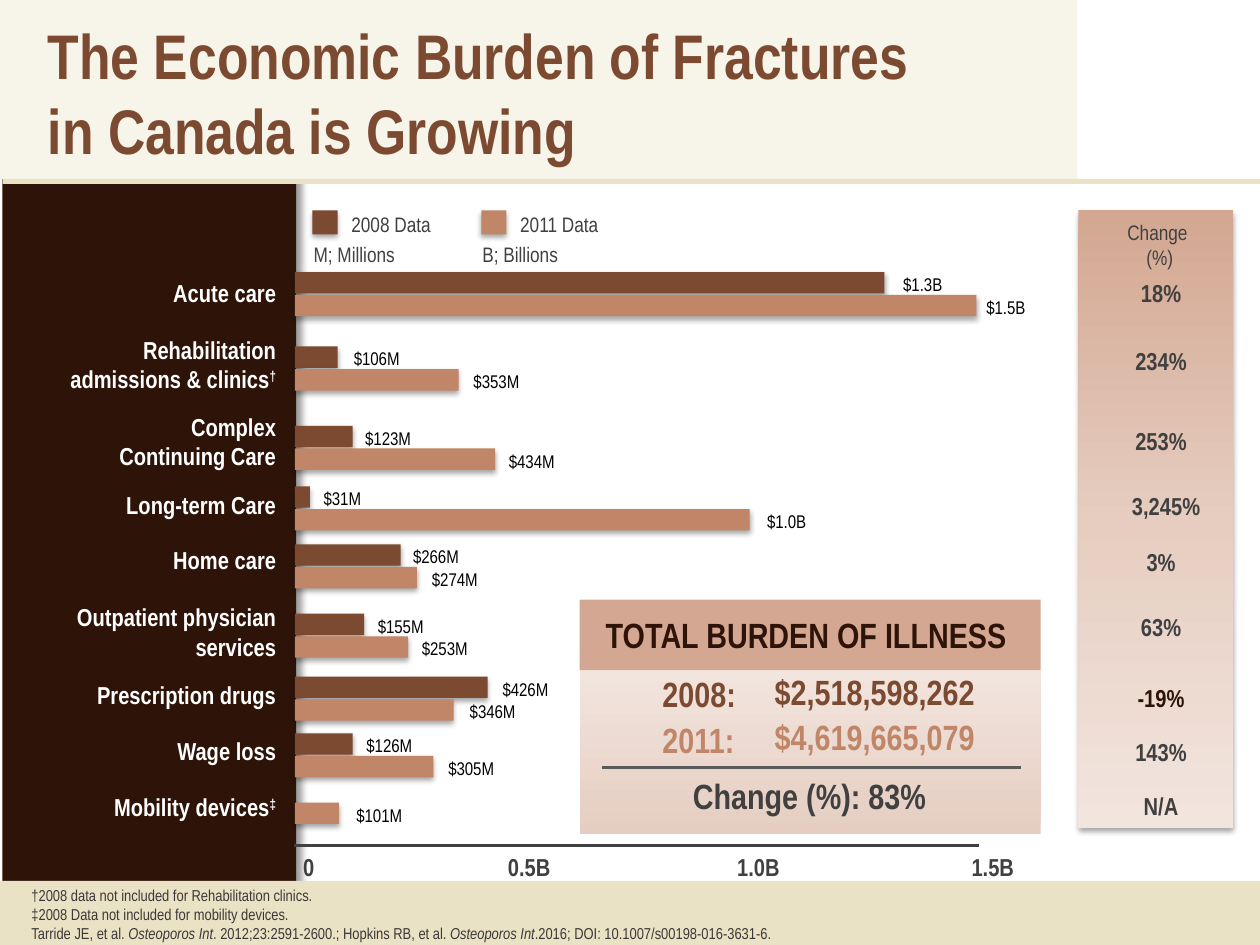
from lxml import etree
from pptx import Presentation
from pptx.dml.color import RGBColor
from pptx.enum.shapes import MSO_CONNECTOR, MSO_SHAPE
from pptx.enum.text import MSO_ANCHOR, MSO_AUTO_SIZE, PP_ALIGN
from pptx.oxml.ns import qn
from pptx.util import Pt

PX = 9144  # 100 px to the inch
FONT = "Arial Narrow"
LEFT, MID, RIGHT = PP_ALIGN.LEFT, PP_ALIGN.CENTER, PP_ALIGN.RIGHT
TOP, CENTER, BOTTOM = MSO_ANCHOR.TOP, MSO_ANCHOR.MIDDLE, MSO_ANCHOR.BOTTOM
GROW, FIXED = MSO_AUTO_SIZE.SHAPE_TO_FIT_TEXT, MSO_AUTO_SIZE.NONE
RECT, LINE = MSO_SHAPE.RECTANGLE, MSO_CONNECTOR.STRAIGHT

HEX = {
    "dark": "2E1408", "brown": "7B4A31", "tan": "C18567", "rose": "D3A791",
    "blush": "E6CDC0", "shell": "E5CDC1", "pale": "F2E5DE", "sand": "EAE2C4",
    "cream": "F7F4E9", "gray": "404040", "rule": "595959", "note": "3B3838",
    "white": "FFFFFF", "black": "000000",
}

# Blur, distance (points), angle, opacity (percent)
SIDE_SHADE = (4, 3, 0, 40)
BAR_SHADE = (3.1, 1.8, 90, 35)

# Label, its width and top; top of the first bar; 2008 and 2011 bars as
# (value, width, gap before the value); change and its top
ROWS = [
    (["Acute care"], 140, 216, 216, ("$1.3B", 468, 5), ("$1.5B", 541, -2), "18%", 216),
    (["Rehabilitation admissions & clinics", ("†", "sup")], 192, 261, 275,
     ("$106M", 34, 3), ("$353M", 130, 2), "234%", 270),
    (["Complex Continuing Care"], 156, 322, 338,
     ("$123M", 46, 0), ("$434M", 159, 1), "253%", 333),
    (["Long-term Care"], 192, 384, 386, ("$31M", 12, 1), ("$1.0B", 361, 4), "3,245%", 385),
    (["Home care"], 192, 428, 432, ("$266M", 84, 0), ("$274M", 97, 2), "3%", 429),
    (["Outpatient physician services"], 192, 473, 487,
     ("$155M", 55, 1), ("$253M", 90, 1), "63%", 481),
    (["Prescription drugs"], 192, 535, 537, ("$426M", 153, 2), ("$346M", 126, 3), "-19%", 537),
    (["Wage loss"], 192, 579, 582, ("$126M", 46, 1), ("$305M", 110, 2), "143%", 580),
    (["Mobility devices", ("‡", "sup")], 192, 624, 619, None, ("$101M", 35, 4), "N/A", 623),
]


def rgb(name):
    return RGBColor.from_string(HEX[name])


def emu(*nums):
    return [round(n * PX) for n in nums]


def write(frame, paras, size=14, color="gray", bold=False, align=LEFT,
          anchor=TOP, inset=(10, 5), fit=GROW):
    """Fill a frame; a paragraph is a list of runs, each a string or (string, style)."""
    frame.word_wrap = True
    frame.auto_size = fit
    frame.vertical_anchor = anchor
    frame.margin_left = frame.margin_right = inset[0] * PX
    frame.margin_top = frame.margin_bottom = inset[1] * PX
    for i, runs in enumerate(paras):
        para = frame.add_paragraph() if i else frame.paragraphs[0]
        para.alignment = align
        for item in runs:
            words, style = (item, "") if isinstance(item, str) else item
            for j, part in enumerate(words.split("\n")):
                if j:
                    para.add_line_break()
                run = para.add_run()
                run.text = part
                font = run.font
                font.name, font.size, font.bold = FONT, Pt(size), bold
                font.color.rgb = rgb(color)
                if style == "i":
                    font.italic = True
                if style == "sup":
                    font._element.set("baseline", "30000")


def text(shapes, box, words, **form):
    paras = [[words]] if isinstance(words, str) else words
    write(shapes.add_textbox(*emu(*box)).text_frame, paras, **form)


def sub(node, tag, **attrs):
    return etree.SubElement(node, qn(tag), {k: str(v) for k, v in attrs.items()})


def block(shapes, box, color, shade=None):
    rect = shapes.add_shape(RECT, *emu(*box))
    rect.shadow.inherit = False
    rect.line.fill.background()
    rect.fill.solid()
    rect.fill.fore_color.rgb = rgb(color)
    if shade:
        blur, dist, turn, alpha = shade
        drop = sub(rect._element.spPr.find(qn("a:effectLst")), "a:outerShdw",
                   blurRad=Pt(blur), dist=Pt(dist), dir=turn * 60000,
                   algn="ctr", rotWithShape=0)
        sub(sub(drop, "a:srgbClr", val=HEX["black"]), "a:alpha", val=alpha * 1000)
    return rect


def blend(rect, names, turn):
    """Replace the solid fill by evenly spaced gradient stops."""
    solid = rect._element.spPr.find(qn("a:solidFill"))
    grad = etree.Element(qn("a:gradFill"), rotWithShape="1")
    stops = sub(grad, "a:gsLst")
    for i, name in enumerate(names):
        stop = sub(stops, "a:gs", pos=100000 * i // (len(names) - 1))
        sub(stop, "a:srgbClr", val=HEX[name])
    sub(grad, "a:lin", ang=turn * 60000, scaled=0)
    solid.getparent().replace(solid, grad)


def rule(shapes, x, y, width, color):
    line = shapes.add_connector(LINE, *emu(x, y, x + width, y))
    line.line.color.rgb = rgb(color)
    line.line.width = Pt(1.5)
    sub(line._element.spPr, "a:effectLst")


def header(slide, x, y, w, h):
    block(slide.shapes, (x, y, w, h), "cream")
    title = slide.shapes.title
    title.left, title.top, title.width, title.height = emu(x + 28, y + 8, 808, 131)
    write(title.text_frame, [["The Economic Burden of Fractures\nin Canada is Growing"]],
          size=36, color="brown", bold=True)
    title.element.getparent().append(title.element)
    block(slide.shapes, (x + 2, y + h, 998, 4), "sand")


def labels(shapes, right):
    for runs, width, top, *_ in ROWS:
        tall = 57 if width == 156 or len(runs[0]) > 20 else 34
        text(shapes, (right - width, top, width, tall), [runs],
             color="white", bold=True, align=RIGHT)


def bars(shapes, x):
    for _, _, _, top, old, new, *_ in ROWS:
        for y, data, color in ((top, old, "brown"), (top + 18, new, "tan")):
            if data:
                value, width, gap = data
                pair = shapes.add_group_shape().shapes
                block(pair, (x, y, width, 17), color, BAR_SHADE)
                text(pair, (x + width + gap, y - 4, 70, 28), value,
                     size=10.5, color="black")


def axis(shapes, x, y, w):
    rule(shapes, x, y, w, "gray")
    for mark, mid in (("0", 12), ("0.5B", 187), ("1.0B", 369), ("1.5B", 555)):
        text(shapes, (x + mid - 32, y, 64, 34), mark, bold=True, align=MID)


def legend(shapes, x, y):
    group = shapes.add_group_shape().shapes
    keys = (("2008 Data", "M; Millions", "brown"), ("2011 Data", "B; Billions", "tan"))
    for i, (name, unit, color) in enumerate(keys):
        left = x + 134 * i
        block(group, (left + 9, y + 4, 20, 19), color, BAR_SHADE)
        text(group, (left + 30, y, 108, 30), name, size=12)
        text(group, (left, y + 24, 152, 30), unit, size=12)


def change(shapes, x, y, w, h):
    blend(block(shapes, (x, y, w, h), "rose", BAR_SHADE), ("rose", "blush", "pale"), 90)
    text(shapes, (x + 10, y + 2, 109, 50), [["Change "], ["(%)"]], size=12, align=MID)
    for *_, value, top in ROWS:
        wide = 109 if len(value) > 5 else 101
        text(shapes, (x + 15, top, wide, 34), value, bold=True, align=MID,
             color="dark" if value.startswith("-") else "gray")


def total(shapes, x, y, w, h):
    big = {"size": 20, "bold": True}
    group = shapes.add_group_shape().shapes
    blend(block(group, (x, y + 56, w, h - 56), "shell"), ("shell", "pale"), 270)
    head = block(group, (x, y, w, 56), "rose")
    write(head.text_frame, [["TOTAL BURDEN OF ILLNESS "]], color="dark", align=MID,
          anchor=CENTER, inset=(20, 5), fit=FIXED, **big)
    sums = (("2008:", "$2,518,598,262", "brown"), ("2011:", "$4,619,665,079", "tan"))
    for i, (year, cost, color) in enumerate(sums):
        top = y + 51 + 36 * i
        text(shapes, (x + 56, top + 2, 120, 44), year, color=color, **big)
        text(shapes, (x + 145, top, 215, 44), cost, color=color, **big)
    rule(shapes, x + 18, y + 133, 332, "rule")
    text(shapes, (x + 19, y + 134, 327, 44), "Change (%): 83%", align=MID, **big)


def footer(shapes, x, y):
    text(shapes, (x + 18, y - 3, 963, 56), [
        ["†2008 data not included for Rehabilitation clinics."],
        ["‡2008 Data not included for mobility devices."],
        ["Tarride JE, et al. ", ("Osteoporos Int", "i"),
         ". 2012;23:2591-2600.; Hopkins RB, et al. ", ("Osteoporos Int", "i"),
         ".2016; DOI: 10.1007/s00198-016-3631-6."],
    ], size=9, color="note", anchor=BOTTOM, inset=(7, 4), fit=FIXED)


def main():
    deck = Presentation()
    deck.slide_width, deck.slide_height = emu(1000, 750)
    slide = deck.slides.add_slide(deck.slide_layouts[5])
    shapes = slide.shapes
    block(shapes, (2, 0, 233, 750), "dark", SIDE_SHADE)
    block(shapes, (0, 699, 1000, 51), "sand")
    header(slide, 0, 0, 855, 142)
    labels(shapes, 229)
    bars(shapes, 234)
    axis(shapes, 233, 671, 544)
    legend(shapes, 239, 163)
    change(shapes, 856, 167, 123, 490)
    total(shapes, 460, 476, 366, 186)
    footer(shapes, 0, 699)
    deck.save("out.pptx")


if __name__ == "__main__":
    main()
